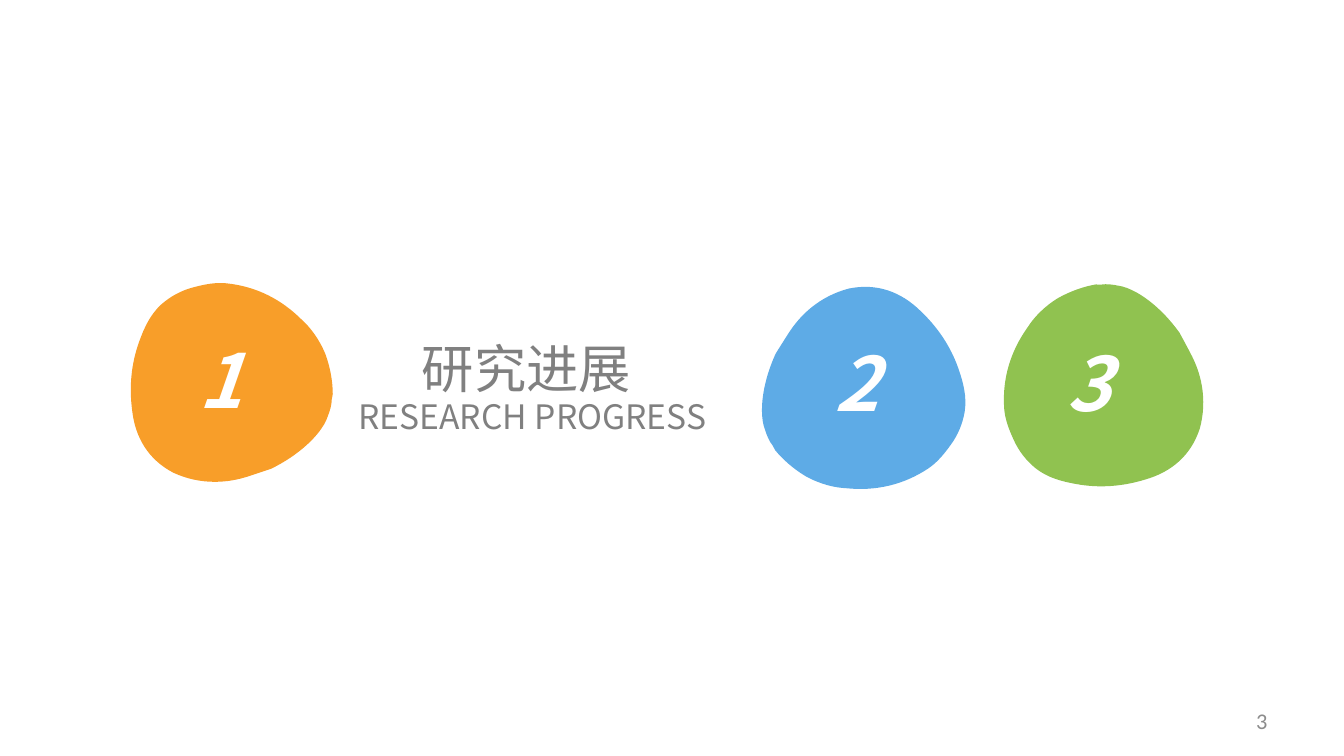
from math import cos, radians, sin

from lxml.etree import SubElement
from pptx import Presentation
from pptx.dml.color import RGBColor
from pptx.enum.text import MSO_ANCHOR, MSO_AUTO_SIZE, PP_ALIGN
from pptx.oxml.ns import qn
from pptx.util import Pt

PX = 9144
ORANGE = RGBColor(0xF8, 0x9E, 0x29)
BLUE = RGBColor(0x5E, 0xAB, 0xE6)
GREEN = RGBColor(0x90, 0xC2, 0x50)
WHITE = RGBColor(0xFF, 0xFF, 0xFF)
GRAY = RGBColor(0x80, 0x80, 0x80)
PAGE_GRAY = RGBColor(0x8C, 0x8C, 0x8C)
CJK_FONT = "Noto Sans CJK SC"

PEBBLE_SIZE = (205, 197)
PEBBLE_TILT = 158.4
PEBBLE_CENTER = (221.5, 377.5)
PEBBLE_START = (172, 469)
PEBBLE_CURVES = [
    ((185, 475), (199, 478), (213, 478)),
    ((225, 478), (236, 476), (248, 472)),
    ((251, 471), (257, 469), (260, 468)),
    ((263, 467), (266, 466), (269, 465)),
    ((275, 462), (286, 456), (295, 449)),
    ((311, 437), (322, 423), (325, 413)),
    ((327, 408), (329, 402), (329, 396)),
    ((329, 394), (330, 393), (330, 391)),
    ((330, 380), (328, 366), (323, 352)),
    ((317, 337), (308, 325), (299, 317)),
    ((279, 297), (254, 284), (224, 281)),
    ((214, 280), (203, 282), (192, 285)),
    ((180, 288), (169, 294), (160, 302)),
    ((149, 312), (143, 325), (138, 339)),
    ((130, 361), (128, 384), (131, 407)),
    ((134, 434), (147, 456), (172, 469)),
]

PEBBLES = [
    ("3", (989, 293), 58.8, GREEN, (59, 36, 66, 100)),
    ("2", (759, 290), 299.2, BLUE, (59, 39, 59, 100)),
    ("1", (119, 279), 158.4, ORANGE, (68, 47, 66, 100)),
]


def place(item, box):
    item.left, item.top, item.width, item.height = (n * PX for n in box)


def add_run(paragraph, text, size, color, font=CJK_FONT, bold=False, italic=False):
    run = paragraph.add_run()
    run.text = text
    run.font.name = font
    run.font.size = Pt(size)
    run.font.color.rgb = color
    run.font.bold = bold
    run.font.italic = italic
    SubElement(run.font._element, qn("a:ea")).set("typeface", font)


def add_label(slide, box):
    label = slide.shapes.add_textbox(*(n * PX for n in box))
    label.text_frame.word_wrap = True
    return label.text_frame


def level_point(point):
    turn = radians(-PEBBLE_TILT)
    x, y = (n - middle for n, middle in zip(point, PEBBLE_CENTER))
    return (
        round((x * cos(turn) - y * sin(turn) + PEBBLE_SIZE[0] / 2) * PX),
        round((x * sin(turn) + y * cos(turn) + PEBBLE_SIZE[1] / 2) * PX),
    )


def add_point(segment, point):
    x, y = level_point(point)
    node = SubElement(segment, qn("a:pt"))
    node.set("x", str(x))
    node.set("y", str(y))


def bend_outline(pebble):
    outline = next(pebble._element.iter(qn("a:path")))
    for segment in list(outline):
        outline.remove(segment)
    for name, size in zip("wh", PEBBLE_SIZE):
        outline.set(name, str(size * PX))
    add_point(SubElement(outline, qn("a:moveTo")), PEBBLE_START)
    for curve in PEBBLE_CURVES:
        segment = SubElement(outline, qn("a:cubicBezTo"))
        for point in curve:
            add_point(segment, point)
    SubElement(outline, qn("a:close"))


def add_pebble(slide, corner, rotation, color):
    builder = slide.shapes.build_freeform(*level_point(PEBBLE_START))
    builder.add_line_segments([level_point(curve[-1]) for curve in PEBBLE_CURVES])
    pebble = builder.convert_to_shape()
    bend_outline(pebble)
    place(pebble, (*corner, *PEBBLE_SIZE))
    pebble.rotation = rotation
    pebble.shadow.inherit = False
    pebble.fill.solid()
    pebble.fill.fore_color.rgb = color
    pebble.line.fill.background()


def add_number(slide, number, corner, offset_box):
    dx, dy, width, height = offset_box
    frame = add_label(slide, (corner[0] + dx, corner[1] + dy, width, height))
    add_run(frame.paragraphs[0], number, 53.3, WHITE, bold=True, italic=True)


def add_section_title(slide, box):
    title = slide.shapes.title
    place(title, box)
    frame = title.text_frame
    frame.word_wrap = True
    frame.auto_size = MSO_AUTO_SIZE.NONE
    frame.vertical_anchor = MSO_ANCHOR.TOP
    heading = frame.paragraphs[0]
    heading.alignment = PP_ALIGN.CENTER
    heading.line_spacing = 0.9
    add_run(heading, "研究进展 ", 37.3, GRAY)
    heading.add_line_break()
    add_run(heading, "RESEARCH PROGRESS", 24, GRAY)


def add_page_number(slide, box):
    frame = add_label(slide, box)
    frame.vertical_anchor = MSO_ANCHOR.MIDDLE
    frame.paragraphs[0].alignment = PP_ALIGN.RIGHT
    add_run(frame.paragraphs[0], "3", 16, PAGE_GRAY, font="Calibri")


def main():
    deck = Presentation()
    deck.slide_width = 1333 * PX
    deck.slide_height = 750 * PX
    slide = deck.slides.add_slide(deck.slide_layouts.get_by_name("Title Only"))
    slide.background.fill.solid()
    slide.background.fill.fore_color.rgb = WHITE
    for number, corner, rotation, color, number_box in PEBBLES:
        add_pebble(slide, corner, rotation, color)
        add_number(slide, number, corner, number_box)
    add_section_title(slide, (345, 336, 366, 103))
    add_page_number(slide, (956, 695, 311, 40))
    deck.save("out.pptx")


if __name__ == "__main__":
    main()
